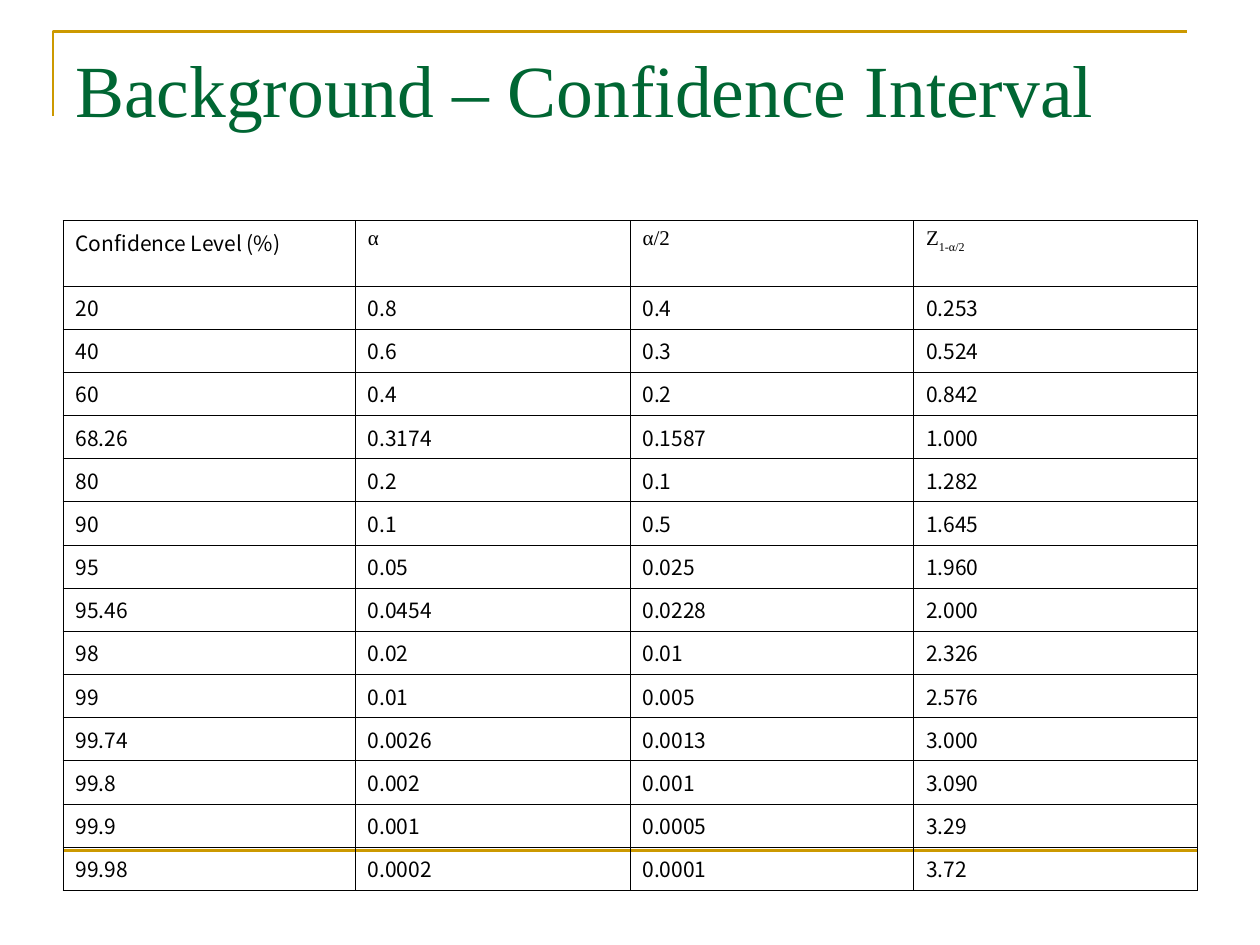
from lxml.etree import SubElement
from pptx import Presentation
from pptx.dml.color import RGBColor
from pptx.enum.shapes import MSO_CONNECTOR
from pptx.enum.text import MSO_ANCHOR
from pptx.oxml import parse_xml
from pptx.oxml.ns import nsdecls, qn
from pptx.util import Inches, Pt

COLORS = {"gold": "CC9900", "green": "006633", "black": "000000"}
SERIF, SANS = "Times New Roman", "Noto Sans CJK TC"

COL_WIDTHS = [2.32, 2.18, 2.25, 2.25]
TABLE_HEIGHT, HEADER_HEIGHT = 5.32, 0.52
HEADER = ["Confidence Level (%)", "α", "α/2", "Z"]
Z_SUBSCRIPT = "1-α/2"
ROWS = [
    ["20", "0.8", "0.4", "0.253"],
    ["40", "0.6", "0.3", "0.524"],
    ["60", "0.4", "0.2", "0.842"],
    ["68.26", "0.3174", "0.1587", "1.000"],
    ["80", "0.2", "0.1", "1.282"],
    ["90", "0.1", "0.5", "1.645"],
    ["95", "0.05", "0.025", "1.960"],
    ["95.46", "0.0454", "0.0228", "2.000"],
    ["98", "0.02", "0.01", "2.326"],
    ["99", "0.01", "0.005", "2.576"],
    ["99.74", "0.0026", "0.0013", "3.000"],
    ["99.8", "0.002", "0.001", "3.090"],
    ["99.9", "0.001", "0.0005", "3.29"],
    ["99.98", "0.0002", "0.0001", "3.72"],
]


def rgb(name):
    return RGBColor.from_string(COLORS[name])


def set_font(font, name, size, color):
    font.name, font.size = name, Pt(size)
    font.color.rgb = rgb(color)


def set_gold_line(sp):
    sp.line.color.rgb = rgb("gold")
    sp.line.width = Pt(1.5)


def add_corner(s):
    builder = s.shapes.build_freeform(Inches(0.42), Inches(0.92))
    builder.add_line_segments(
        [(Inches(0.42), Inches(0.25)), (Inches(9.42), Inches(0.25))], close=False)
    sp = builder.convert_to_shape()
    sp.shadow.inherit = False
    sp.fill.background()
    set_gold_line(sp)


def add_rule(s, left, right, y):
    sp = s.shapes.add_connector(
        MSO_CONNECTOR.STRAIGHT, Inches(left), Inches(y), Inches(right), Inches(y))
    set_gold_line(sp)
    SubElement(sp._element.spPr, qn("a:effectLst"))


def add_title(s, text):
    sp = s.shapes.add_textbox(Inches(0.5), Inches(0.3), Inches(9), Inches(1.25))
    tf = sp.text_frame
    tf.word_wrap = True
    tf.vertical_anchor = MSO_ANCHOR.TOP
    p = tf.paragraphs[0]
    p.text = text
    set_font(p.font, SERIF, 42, "green")


def set_borders(cell):
    tc_pr = cell._tc.get_or_add_tcPr()
    for i, side in enumerate(("lnL", "lnR", "lnT", "lnB")):
        tc_pr.insert(i, parse_xml(
            f'<a:{side} {nsdecls("a")} w="{Pt(0.45)}"><a:solidFill>'
            f'<a:srgbClr val="{COLORS["black"]}"/></a:solidFill></a:{side}>'))


def fill_cell(cell, text, font_name):
    cell.fill.background()
    set_borders(cell)
    p = cell.text_frame.paragraphs[0]
    p.text = text
    p_pr = p._p.get_or_add_pPr()
    p_pr.set("marL", str(Inches(0.38)))
    p_pr.set("indent", str(-Inches(0.38)))
    set_font(p.font, font_name, 12, "black")


def add_confidence_table(s):
    row_height = (TABLE_HEIGHT - HEADER_HEIGHT) / len(ROWS)
    table = s.shapes.add_table(
        len(ROWS) + 1, len(HEADER), Inches(0.5), Inches(1.75),
        Inches(sum(COL_WIDTHS)), Inches(TABLE_HEIGHT)).table
    table.first_row = table.horz_banding = False
    for column, width in zip(table.columns, COL_WIDTHS):
        column.width = Inches(width)
    for i, values in enumerate([HEADER] + ROWS):
        table.rows[i].height = Inches(row_height if i else HEADER_HEIGHT)
        for j, text in enumerate(values):
            # Only the symbols in the header are set in serif
            fill_cell(table.cell(i, j), text, SERIF if i == 0 and j else SANS)

    # Subscript of Z
    r = table.cell(0, 3).text_frame.paragraphs[0].add_run()
    r.text = Z_SUBSCRIPT
    r.font._element.set("baseline", "-30000")


def main():
    prs = Presentation()
    prs.slide_width, prs.slide_height = Inches(10), Inches(7.5)
    s = prs.slides.add_slide(prs.slide_layouts[6])

    # Gold frame lines
    add_corner(s)
    add_rule(s, 0.5, 9.5, 6.75)

    # Content
    add_title(s, "Background – Confidence Interval")
    add_confidence_table(s)
    prs.save("out.pptx")


if __name__ == "__main__":
    main()
